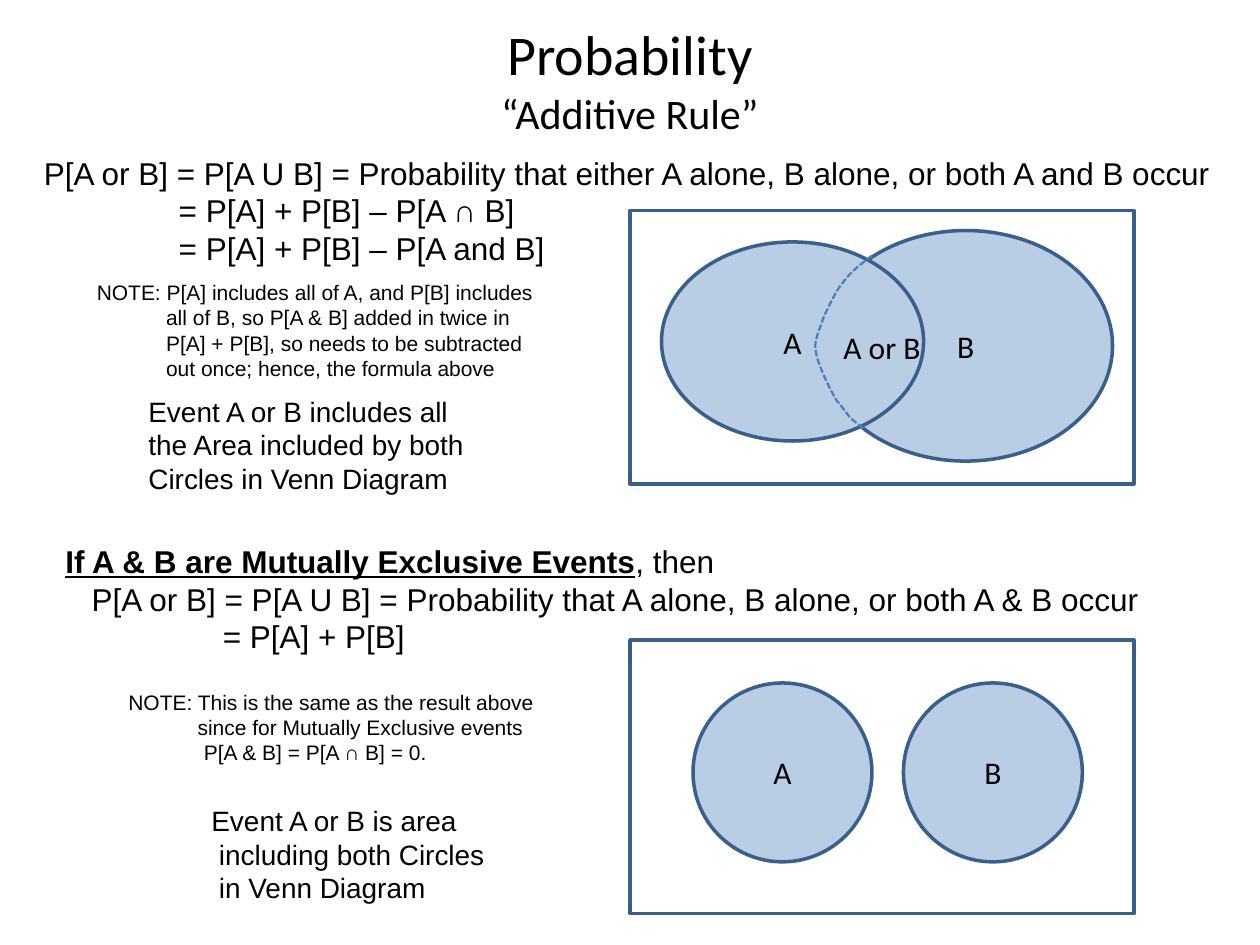
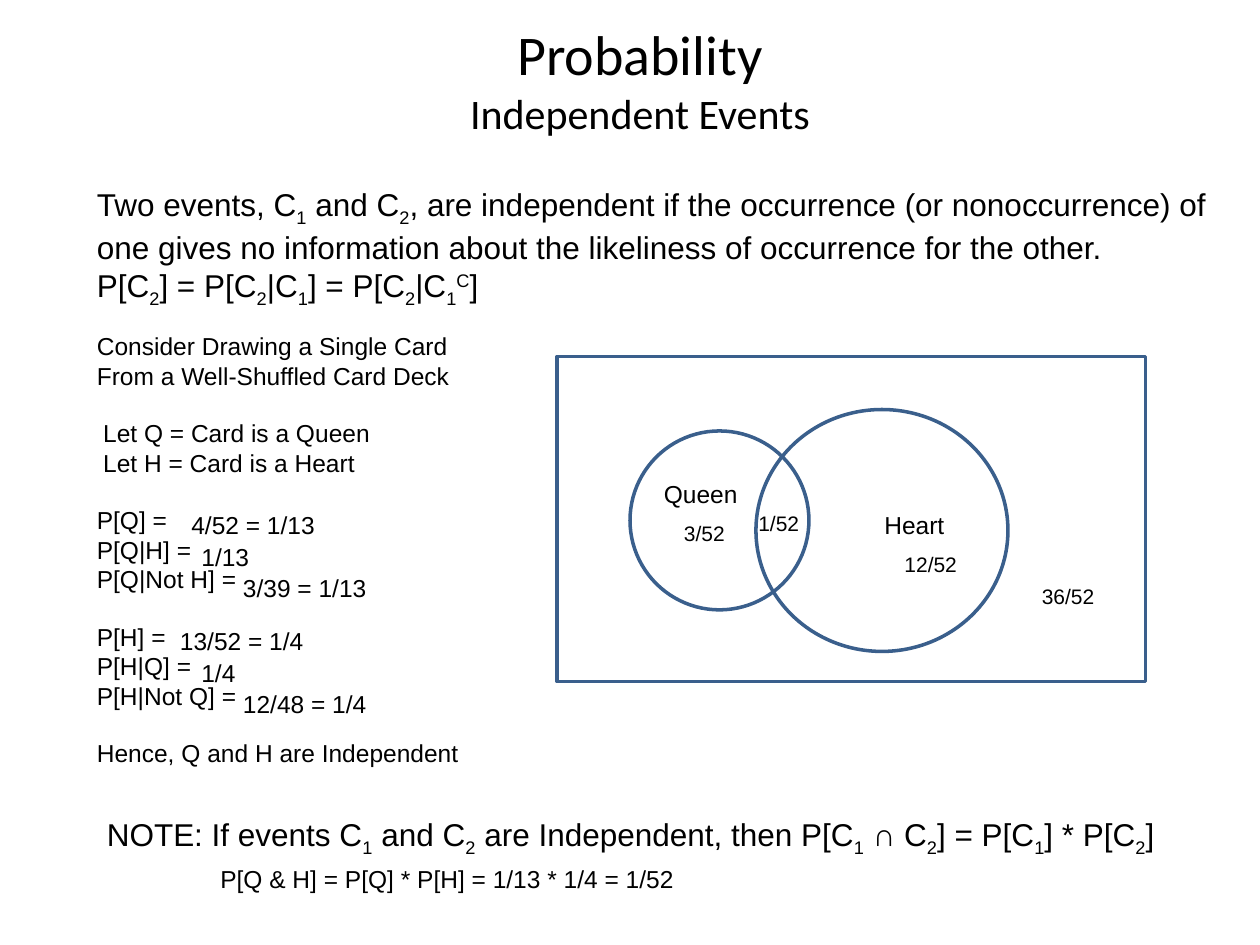
import pptx
import pptx.util
import pptx.dml.color
import pptx.enum.dml
import pptx.enum.shapes
import pptx.enum.text
from pptx.util import Inches, Pt

RGB = pptx.dml.color.RGBColor
BLACK = RGB(0, 0, 0)
WHITE = RGB(255, 255, 255)
PALE = RGB(0xB9, 0xCD, 0xE5)
NAVY = RGB(0x3A, 0x5F, 0x8C)
BLUE = RGB(0x4B, 0x7E, 0xBC)
BODY, HEAD = "Arial", "Calibri"
SHAPE = pptx.enum.shapes.MSO_SHAPE
ALIGN = pptx.enum.text.PP_ALIGN
ANCHOR = pptx.enum.text.MSO_ANCHOR
FIT = pptx.enum.text.MSO_AUTO_SIZE


def add_run(para, text, size, face=BODY):
    run = para.add_run()
    run.text = text
    run.font.size = Pt(size)
    run.font.name = face
    run.font.color.rgb = BLACK
    return run


def add_marks(para, text, size):
    """Set text whose parts between underscores are lowered, raised (^) or stressed (*)."""
    for num, part in enumerate(text.split("_")):
        if not part:
            continue
        run = add_run(para, part.lstrip("^*") if num % 2 else part, size)
        if num % 2 and part[0] == "*":
            run.font.bold = run.font.underline = True
        elif num % 2:
            base = "30000" if part[0] == "^" else "-25000"
            run._r.get_or_add_rPr().set("baseline", base)


def add_text(slide, box, size, lines, wrap=False):
    """Add a text box; a line is text or (text, indent in inches, space before, size)."""
    frame = slide.shapes.add_textbox(*map(Inches, box)).text_frame
    frame.word_wrap = wrap
    frame.auto_size = FIT.SHAPE_TO_FIT_TEXT
    for num, line in enumerate(lines):
        para = frame.paragraphs[0] if num == 0 else frame.add_paragraph()
        if isinstance(line, str):
            line = (line,)
        text, indent, gap, points = line + (0, 0, size)[len(line) - 1:]
        if indent:
            para._p.get_or_add_pPr().set("marL", str(Inches(indent)))
        if gap:
            para.space_before = Pt(gap)
        add_marks(para, text, points)


def add_title(slide, left, topic):
    frame = slide.shapes.add_textbox(
        Inches(left), 0, Inches(9), Inches(1.25)).text_frame
    frame.word_wrap = True
    frame.vertical_anchor = ANCHOR.MIDDLE
    para = frame.paragraphs[0]
    para.alignment = ALIGN.CENTER
    add_run(para, "Probability", 32, HEAD)
    para.add_line_break()
    add_run(para, topic, 24, HEAD)


def add_form(slide, kind, box, fill=None, label=""):
    form = slide.shapes.add_shape(kind, *map(Inches, box))
    form.shadow.inherit = False
    if fill is None:
        form.fill.background()
    else:
        form.fill.solid()
        form.fill.fore_color.rgb = fill
    form.line.color.rgb = NAVY
    form.line.width = Pt(2)
    if label:
        frame = form.text_frame
        frame.vertical_anchor = ANCHOR.MIDDLE
        frame.paragraphs[0].alignment = ALIGN.CENTER
        add_run(frame.paragraphs[0], label, 18, HEAD)


def add_curve(slide, start, bends, steps=8):
    """Draw a dashed open line through cubic bends."""
    points = []
    last = start
    for bend in bends:
        ends = (last,) + bend
        for step in range(1, steps + 1):
            t = step / steps
            parts = ((1 - t) ** 3, 3 * t * (1 - t) ** 2, 3 * t * t * (1 - t), t ** 3)
            points.append(tuple(
                Inches(sum(w * p[axis] for w, p in zip(parts, ends))) for axis in (0, 1)))
        last = bend[-1]
    path = slide.shapes.build_freeform(Inches(start[0]), Inches(start[1]))
    path.add_line_segments(points, close=False)
    curve = path.convert_to_shape()
    curve.shadow.inherit = False
    curve.fill.background()
    curve.line.color.rgb = BLUE
    curve.line.width = Pt(1.25)
    curve.line.dash_style = pptx.enum.dml.MSO_LINE.SQUARE_DOT


def draw_sum(slide):
    add_title(slide, 0.5, "“Additive Rule”")
    add_text(slide, (0.25, 1.17, 9.54, 1.01), 18, [
        "P[A or B] = P[A U B] = Probability that either A alone, B alone, or both A and B occur",
        ("= P[A] + P[B] – P[A ∩ B]", 1.07),
        ("= P[A] + P[B] – P[A and B]", 1.07)])
    add_text(slide, (0.42, 4.25, 8.8, 1.01), 18, [
        "_*If A & B are Mutually Exclusive Events_, then",
        ("P[A or B] = P[A U B] = Probability that A alone, B alone, or both A & B occur", 0.21),
        ("= P[A] + P[B]", 1.25)])

    add_form(slide, SHAPE.OVAL, (6.5, 1.83, 2.33, 1.83), PALE, "B")
    add_form(slide, SHAPE.OVAL, (5.25, 1.92, 2.08, 1.58), PALE, "A")
    add_curve(slide, (6.92, 2.03), [
        ((6.84, 2.09), (6.76, 2.15), (6.7, 2.23)),
        ((6.63, 2.31), (6.58, 2.43), (6.54, 2.51)),
        ((6.51, 2.6), (6.48, 2.66), (6.47, 2.74)),
        ((6.47, 2.81), (6.5, 2.89), (6.53, 2.96)),
        ((6.56, 3.04), (6.64, 3.18), (6.64, 3.18)),
        ((6.66, 3.2), (6.72, 3.28), (6.75, 3.32)),
        ((6.79, 3.35), (6.85, 3.4), (6.85, 3.4))])
    add_form(slide, SHAPE.RECTANGLE, (5, 1.67, 4, 2.17), label="A or B")

    add_text(slide, (1.58, 6.33, 2.46, 0.91), 16, [
        "Event A or B is area",
        ("including both Circles", 0.06),
        ("in Venn Diagram", 0.06)])
    add_text(slide, (1.08, 3.08, 2.73, 0.91), 16, [
        "Event A or B includes all",
        "the Area included by both",
        "Circles in Venn Diagram"])
    add_text(slide, (0.67, 2.17, 3.7, 0.91), 12, [
        "NOTE: P[A] includes all of A, and P[B] includes",
        ("all of B, so P[A & B] added in twice in", 0.55),
        ("P[A] + P[B], so needs to be subtracted", 0.55),
        ("out once; hence, the formula above", 0.55)])

    add_form(slide, SHAPE.RECTANGLE, (5, 5.08, 4, 2.17), WHITE)
    for left, name in ((5.5, "A"), (7.17, "B")):
        add_form(slide, SHAPE.OVAL, (left, 5.42, 1.42, 1.42), PALE, name)
    add_text(slide, (0.92, 5.42, 3.45, 0.71), 12, [
        "NOTE: This is the same as the result above",
        ("since for Mutually Exclusive events", 0.55),
        ("P[A & B] = P[A ∩ B] = 0.", 0.6)])


def draw_cards(slide):
    add_title(slide, 0.58, "Independent Events")
    add_text(slide, (0.67, 1.42, 9.21, 1.01), 18, [
        "Two events, C_1_ and C_2_, are independent if the occurrence (or nonoccurrence) of",
        "one gives no information about the likeliness of occurrence for the other.",
        "P[C_2_] = P[C_2_|C_1_] = P[C_2_|C_1__^C_]"])

    add_form(slide, SHAPE.RECTANGLE, (4.42, 2.83, 4.67, 2.58))
    add_form(slide, SHAPE.OVAL, (5, 3.42, 1.42, 1.42))
    add_form(slide, SHAPE.OVAL, (6, 3.25, 2, 1.92))
    add_text(slide, (5.17, 3.75, 0.79, 0.34), 14, ["Queen"])
    add_text(slide, (6.92, 4, 0.68, 0.34), 14, ["Heart"])
    for left, top, width, odds in (
            (7.08, 4.33, 0.62, "12/52"), (5.33, 4.08, 0.53, "3/52"),
            (5.92, 4, 0.53, "1/52"), (8.17, 4.58, 0.62, "36/52")):
        add_text(slide, (left, top, width, 0.3), 12, [odds])

    gap = 16.1
    add_text(slide, (0.67, 2.58, 3.08, 3.64), 14, [
        "Consider Drawing a Single Card",
        "From a Well-Shuffled Card Deck",
        ("Let Q = Card is a Queen", 0.05, gap),
        ("Let H = Card is a Heart", 0.05),
        ("P[Q] =", 0, gap),
        "P[Q|H] =",
        "P[Q|Not H] =",
        ("P[H] =", 0, gap),
        "P[H|Q] =",
        "P[H|Not Q] =",
        ("Hence, Q and H are Independent", 0, gap)])
    add_text(slide, (0.75, 6.42, 8.83, 0.71), 18, [
        "NOTE: If events C_1_ and C_2_ are Independent, then "
        "P[C_1_ ∩ C_2_] = P[C_1_] * P[C_2_]",
        ("P[Q & H] = P[Q] * P[H] = 1/13 * 1/4 = 1/52", 0.9, 3.6, 14)], wrap=True)
    for left, top, width, value in (
            (1.42, 4, 1.19, "4/52 = 1/13"), (1.5, 4.25, 0.58, "1/13"),
            (1.83, 4.5, 1.19, "3/39 = 1/13"), (1.33, 4.92, 1.19, "13/52 = 1/4"),
            (1.5, 5.17, 0.47, "1/4"), (1.83, 5.42, 1.19, "12/48 = 1/4")):
        add_text(slide, (left, top, width, 0.34), 14, [value])


def main():
    deck = pptx.Presentation()
    deck.slide_width = Inches(10)
    deck.slide_height = Inches(7.5)
    for draw in (draw_sum, draw_cards):
        draw(deck.slides.add_slide(deck.slide_layouts[6]))
    deck.save("out.pptx")


if __name__ == "__main__":
    main()
